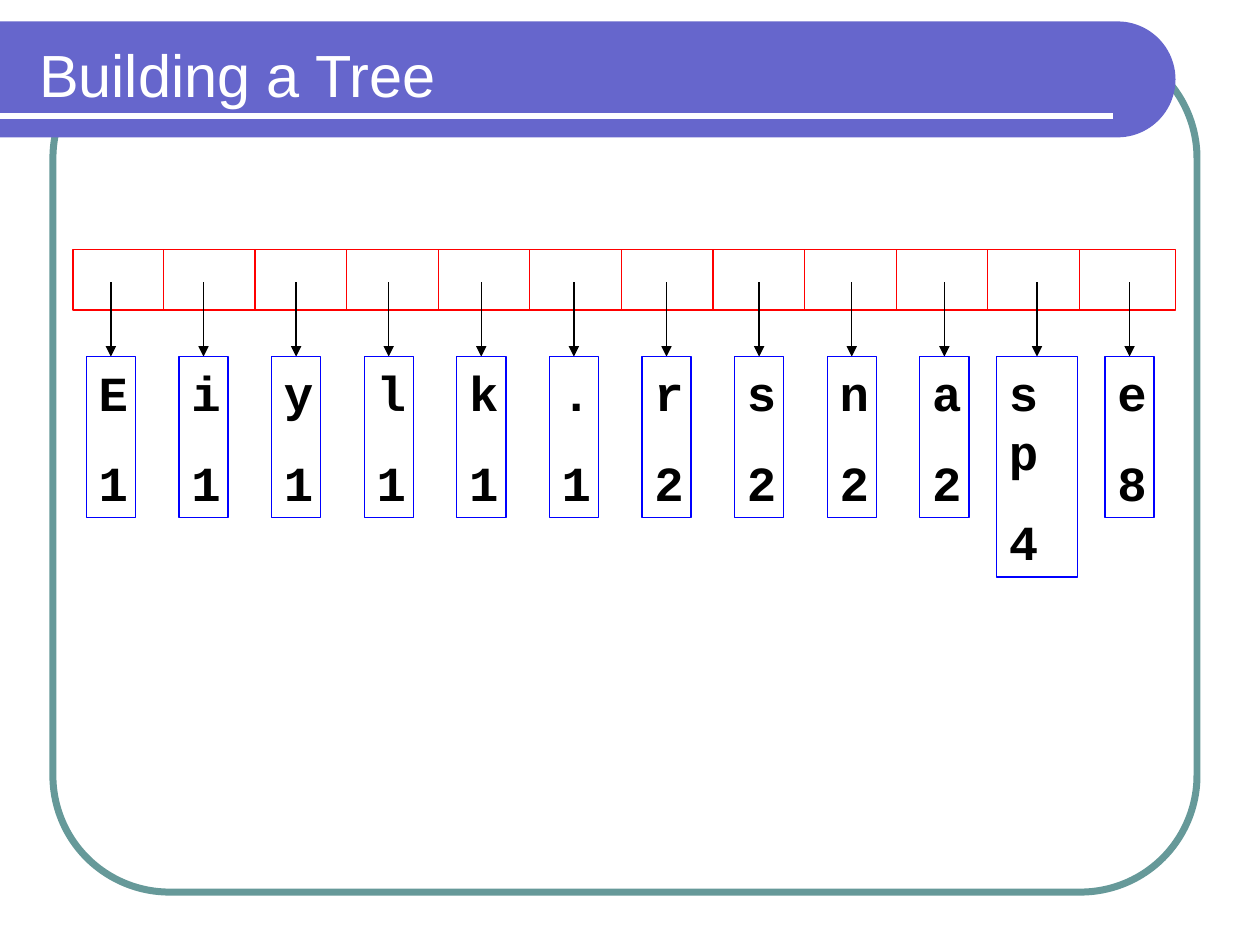
from math import cos, pi, sin
from lxml.etree import SubElement
from pptx import Presentation
from pptx.dml.color import RGBColor
from pptx.enum.shapes import MSO_CONNECTOR, MSO_SHAPE
from pptx.enum.text import MSO_ANCHOR, MSO_AUTO_SIZE, PP_ALIGN
from pptx.oxml.ns import qn
from pptx.util import Inches, Pt

NODES = [("E", 1), ("i", 1), ("y", 1), ("l", 1), ("k", 1), (".", 1),
         ("r", 2), ("s", 2), ("n", 2), ("a", 2), ("sp", 4), ("e", 8)]


def color(code):
    return RGBColor.from_string(code)


def place(shape, box):
    shape.left, shape.top, shape.width, shape.height = map(Inches, box)


def paint(shape, fill=None, edge=None, width=0.75):
    shape.shadow.inherit = False
    if fill:
        shape.fill.solid()
        shape.fill.fore_color.rgb = color(fill)
    else:
        shape.fill.background()
    if edge:
        shape.line.color.rgb = color(edge)
        shape.line.width = Pt(width)
    else:
        shape.line.fill.background()


def add_rect(slide, box, kind=MSO_SHAPE.RECTANGLE, **style):
    shape = slide.shapes.add_shape(kind, *map(Inches, box))
    paint(shape, **style)
    return shape


def add_line(slide, start, end, edge, width=0.75, arrow=False):
    line = slide.shapes.add_connector(
        MSO_CONNECTOR.STRAIGHT, *map(Inches, start + end))
    line.line.color.rgb = color(edge)
    line.line.width = Pt(width)
    props = line.element.find(qn("p:spPr"))
    if arrow:
        SubElement(props.find(qn("a:ln")), qn("a:tailEnd"), type="triangle")
    SubElement(props, qn("a:effectLst"))


def add_text(par, text, font, size, code, bold=False):
    run = par.add_run()
    run.text = text
    run.font.name = font
    run.font.size = Pt(size)
    run.font.bold = bold
    run.font.color.rgb = color(code)


def add_frame(slide, box):
    frame = add_rect(slide, box, MSO_SHAPE.ROUNDED_RECTANGLE,
                     edge="669999", width=4)
    frame.adjustments[0] = 0.137


def add_banner(slide, box):
    """Draw a bar with a round right end, its rule and the slide title."""
    left, top, width, height = box
    rad, steps = height / 2, 48
    hub = left + width - rad
    arc = [(hub + rad * cos(a), top + rad + rad * sin(a))
           for a in (pi * (i / steps - 0.5) for i in range(steps + 1))]
    pen = slide.shapes.build_freeform(Inches(left), Inches(top))
    pen.add_line_segments([(Inches(x), Inches(y)) for x, y in arc]
                          + [(Inches(left), Inches(top + height))])
    paint(pen.convert_to_shape(), fill="6666CC")
    rule = top + 0.75
    add_line(slide, (left, rule), (left + width - 0.5, rule), "FFFFFF", 3)

    title = slide.shapes.title
    place(title, (left + 0.21, top + 0.08, 8.77, 0.67))
    # Bring the title in front of the bar
    slide.shapes.element.append(title.element)
    frame = title.text_frame
    frame.vertical_anchor = MSO_ANCHOR.MIDDLE
    frame.paragraphs[0].alignment = PP_ALIGN.LEFT
    add_text(frame.paragraphs[0], "Building a Tree", "Arial", 34, "FFFFFF")


def add_queue(slide, box):
    """Draw the row of cells that hold the pointers."""
    left, top, width, height = box
    add_rect(slide, box, fill="FFFFFF", edge="FF0000")
    step = 0.727
    for i in range(1, len(NODES)):
        x = left - 0.01 + i * step
        add_line(slide, (x, top), (x, top + height), "FF0000")


def add_node(slide, mid, top, mark, count):
    wide = len(mark) > 1
    width, height = (0.64, 1.75) if wide else (0.39, 1.28)
    node = add_rect(slide, (mid - width / 2, top, width, height),
                    edge="0000FF")
    frame = node.text_frame
    frame.word_wrap = True
    frame.auto_size = MSO_AUTO_SIZE.SHAPE_TO_FIT_TEXT
    frame.vertical_anchor = MSO_ANCHOR.TOP
    for i, text in enumerate((mark, str(count))):
        par = frame.add_paragraph() if i else frame.paragraphs[0]
        par.alignment = PP_ALIGN.LEFT
        par.space_before = Pt(17.5)
        add_text(par, text, "Courier New", 28, "000000", True)


def add_nodes(slide, left, top, step):
    """Hang one node below each cell, with an arrow from the cell."""
    for i, (mark, count) in enumerate(NODES):
        mid = left + i * step
        add_line(slide, (mid, top - 0.59), (mid, top), "000000", arrow=True)
        add_node(slide, mid, top, mark, count)


def main():
    deck = Presentation()
    deck.slide_width, deck.slide_height = Inches(10), Inches(7.5)
    slide = deck.slides.add_slide(deck.slide_layouts[5])
    add_frame(slide, (0.42, 0.33, 9.08, 6.75))
    add_banner(slide, (0, 0.17, 9.33, 0.92))
    add_queue(slide, (0.58, 1.98, 8.75, 0.48))
    add_nodes(slide, 0.88, 2.83, 0.735)
    deck.save("out.pptx")


if __name__ == "__main__":
    main()
